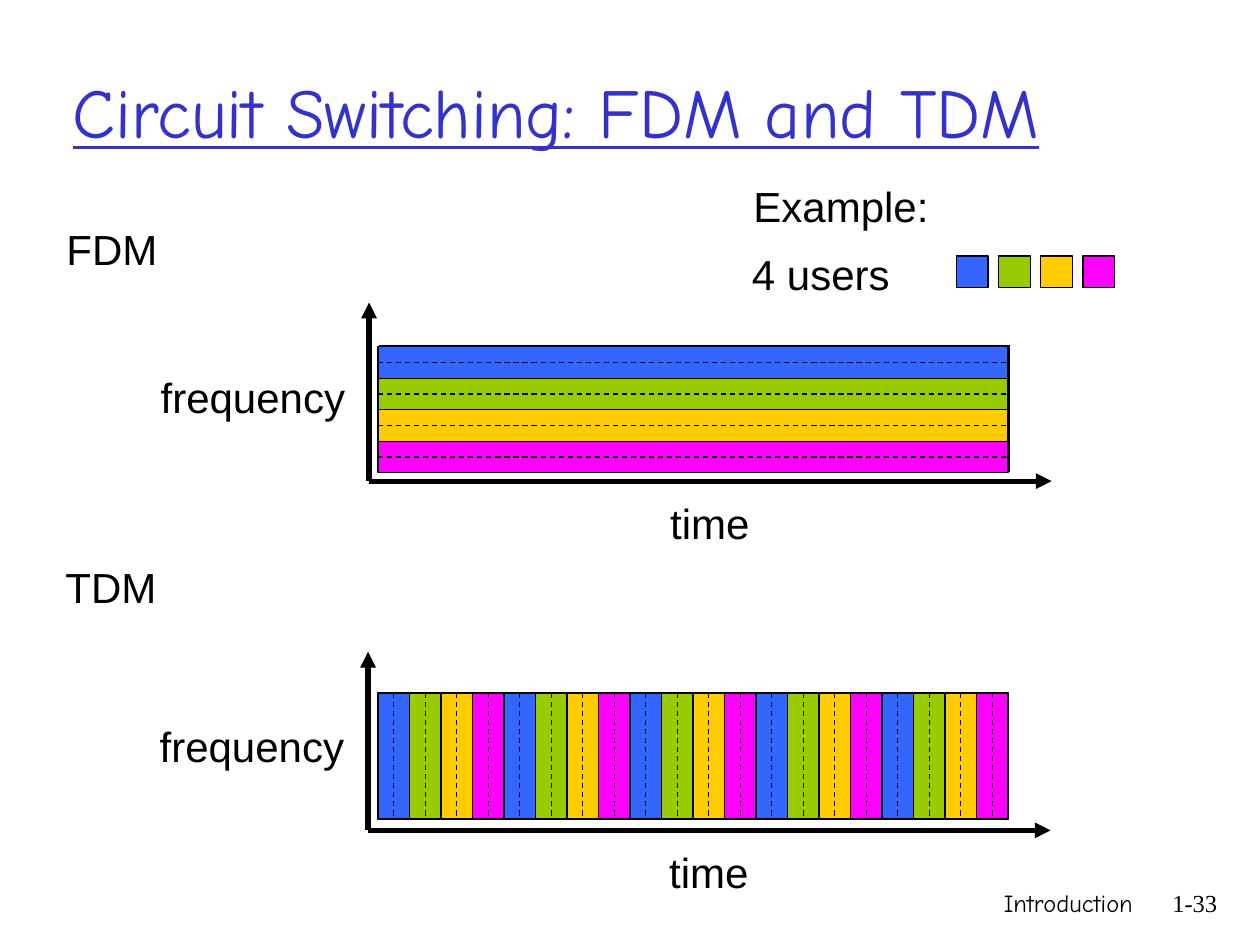
from dataclasses import dataclass

from lxml import etree
from pptx import Presentation
from pptx import util as u
from pptx.dml.color import RGBColor
from pptx.enum import dml, shapes, text
from pptx.oxml.ns import qn


@dataclass(frozen=True)
class Theme:
    title_font: str = "Comic Neue"
    body_font: str = "Arial"
    number_font: str = "Times New Roman"
    title_size: int = 40
    body_size: int = 24
    footer_size: int = 14
    title_color: str = "3333CC"
    ink: str = "000000"
    channel: str = "00CC99"
    users: tuple = ("3366FF", "99CC00", "FFCC00", "FF00FF")
    thin: float = 0.75
    thick: float = 3


class SlideBuilder:
    """Draws in centimetres on the current slide, using one theme."""

    def __init__(self, slide, theme):
        self.slide = slide
        self.theme = theme

    def text(self, words, left, top, width, height=1.27, font=None, size=None,
             color=None, underline=False, wrap=False, align=text.PP_ALIGN.LEFT,
             anchor=text.MSO_ANCHOR.TOP):
        box = self.slide.shapes.add_textbox(
            u.Cm(left), u.Cm(top), u.Cm(width), u.Cm(height))
        frame = box.text_frame
        frame.word_wrap = wrap
        frame.vertical_anchor = anchor
        paragraph = frame.paragraphs[0]
        paragraph.alignment = align
        run = paragraph.add_run()
        run.text = words
        run.font.name = font or self.theme.body_font
        run.font.size = u.Pt(size or self.theme.body_size)
        run.font.color.rgb = RGBColor.from_string(color or self.theme.ink)
        if underline:
            run.font.underline = True

    def rectangle(self, left, top, width, height, color):
        shape = self.slide.shapes.add_shape(
            shapes.MSO_SHAPE.RECTANGLE,
            u.Cm(left), u.Cm(top), u.Cm(width), u.Cm(height))
        shape.shadow.inherit = False
        shape.fill.solid()
        shape.fill.fore_color.rgb = RGBColor.from_string(color)
        shape.line.color.rgb = RGBColor.from_string(self.theme.ink)
        shape.line.width = u.Pt(self.theme.thin)

    def line(self, start, end, weight=None, dashed=False, arrow=False):
        connector = self.slide.shapes.add_connector(
            shapes.MSO_CONNECTOR.STRAIGHT, *map(u.Cm, (*start, *end)))
        connector.line.color.rgb = RGBColor.from_string(self.theme.ink)
        connector.line.width = u.Pt(weight or self.theme.thin)
        if dashed:
            connector.line.dash_style = dml.MSO_LINE.DASH
        properties = connector._element.spPr
        if arrow:
            outline = properties.find(qn("a:ln"))
            etree.SubElement(outline, qn("a:tailEnd"), type="triangle")
        etree.SubElement(properties, qn("a:effectLst"))

    def axes(self, left, bottom):
        """Frequency over time, from the origin at left and bottom."""
        origin = (left, bottom)
        for end in ((left, bottom - 3.6), (left + 13.76, bottom)):
            self.line(origin, end, self.theme.thick, arrow=True)
        self.text("frequency", left - 4.45, bottom - 2.34, 4.22)
        self.text("time", left + 5.82, bottom + 0.2, 2.11)

    def channel(self, left, top, width, height, count, by_time):
        """Splits a channel into equal slots, given to the users in turn."""
        step = (width if by_time else height) / count

        def point(along, across):
            if by_time:
                return left + along, top + across * height
            return left + across * width, top + along

        size = (step, height) if by_time else (width, step)
        for index in range(count):
            users = self.theme.users
            self.rectangle(*point(index * step, 0), *size,
                           users[index % len(users)])
        for index in range(1, count):
            self.line(point(index * step, 0), point(index * step, 1))
        for index in range(count):
            middle = (index + 0.5) * step
            self.line(point(middle, 0), point(middle, 1), dashed=True)


def main():
    presentation = Presentation()
    presentation.slide_width = u.Cm(25.4)
    presentation.slide_height = u.Cm(19.05)
    slide = presentation.slides.add_slide(presentation.slide_layouts[6])
    theme = Theme()
    builder = SlideBuilder(slide, theme)

    # Footer and title
    footer = dict(size=theme.footer_size, wrap=True, align=text.PP_ALIGN.RIGHT)
    builder.text("Introduction", 15.04, 17.78, 8.05,
                 font=theme.title_font, **footer)
    builder.text("1-33", 23.06, 17.78, 1.73, font=theme.number_font, **footer)
    builder.text("Circuit Switching: FDM and TDM", 1.22, 0.64, 23.52, 3.18,
                 font=theme.title_font, size=theme.title_size,
                 color=theme.title_color, underline=True, wrap=True,
                 anchor=text.MSO_ANCHOR.MIDDLE)

    # FDM: each user holds one frequency band
    builder.text("FDM", 1.09, 4.39, 2.34)
    builder.axes(7.44, 9.7)
    builder.rectangle(7.65, 6.96, 12.7, 2.54, theme.channel)
    builder.channel(7.62, 6.99, 12.7, 2.54, 4, by_time=False)

    # TDM: users take turns in time slots
    builder.text("TDM", 1.07, 11.2, 2.34)
    builder.axes(7.42, 16.74)
    builder.rectangle(7.62, 13.97, 12.7, 2.54, theme.channel)
    builder.channel(7.62, 13.97, 12.7, 2.54, 20, by_time=True)

    # Legend
    builder.text("Example:", 14.94, 3.51, 4.04)
    builder.text("4 users", 14.91, 4.88, 3.28)
    for index, color in enumerate(theme.users):
        builder.rectangle(19.28 + index * 0.85, 5.16, 0.64, 0.64, color)

    presentation.save("out.pptx")


if __name__ == "__main__":
    main()
